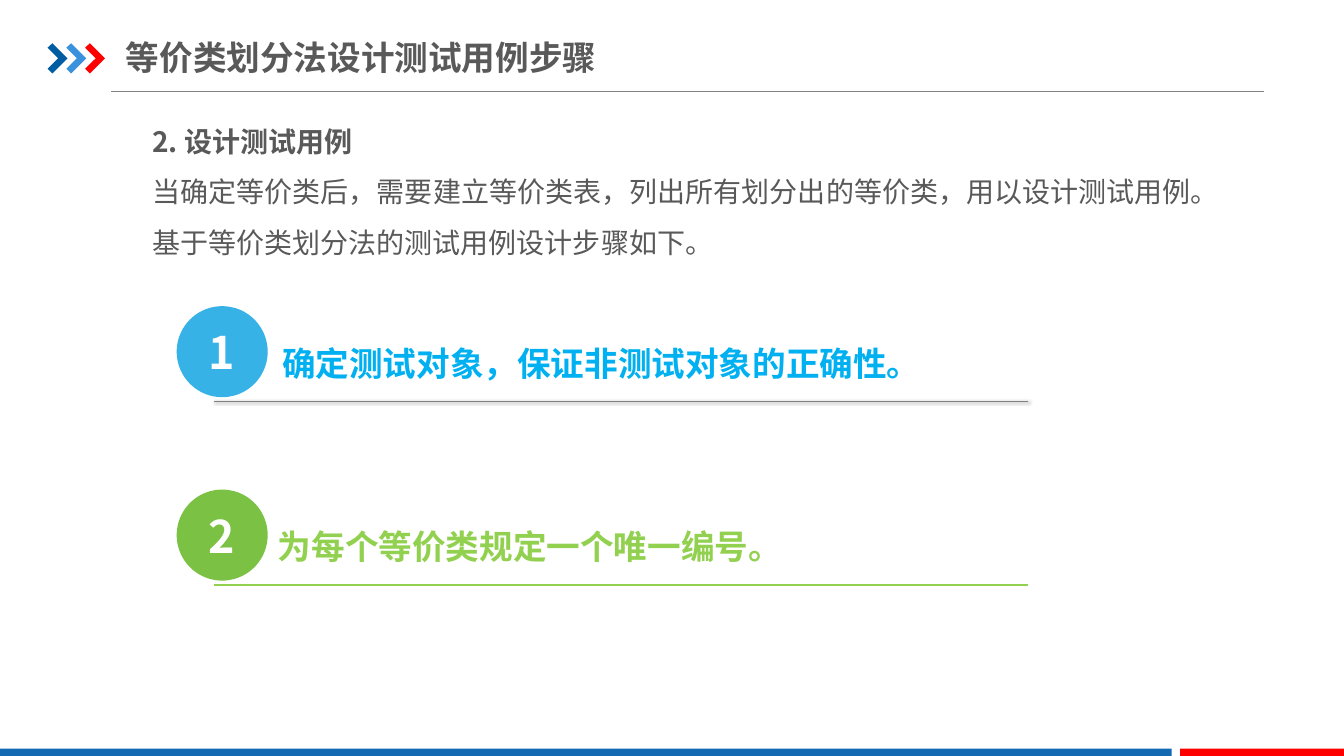
from dataclasses import dataclass

from lxml import etree
from pptx import Presentation
from pptx.dml.color import RGBColor
from pptx.enum.shapes import MSO_CONNECTOR, MSO_SHAPE
from pptx.enum.text import MSO_ANCHOR, PP_ALIGN
from pptx.oxml.ns import qn
from pptx.shapes.autoshape import Shape
from pptx.shapes.connector import Connector
from pptx.shapes.shapetree import GroupShapes, SlideShapes
from pptx.text.text import _Paragraph
from pptx.util import Pt

RECTANGLE = MSO_SHAPE.RECTANGLE
CIRCLE = MSO_SHAPE.FLOWCHART_CONNECTOR
STRAIGHT = MSO_CONNECTOR.STRAIGHT
MIDDLE = MSO_ANCHOR.MIDDLE
TOP = MSO_ANCHOR.TOP
LEFT = PP_ALIGN.LEFT
CENTER = PP_ALIGN.CENTER
JUSTIFY = PP_ALIGN.JUSTIFY


@dataclass(frozen=True)
class Theme:
    """Colours, fonts and type sizes of the slide."""

    font: str = "Noto Sans CJK SC"
    serif: str = "Times New Roman"
    ink: str = "595959"
    rule: str = "808080"
    white: str = "FFFFFF"
    red: str = "FF0000"
    navy: str = "005DA2"
    sky: str = "3992DB"
    footer_blue: str = "1369B2"
    body_size: int = 20
    heading_size: int = 24
    number_size: int = 32


@dataclass(frozen=True)
class Box:
    """A frame in points."""

    left: float
    top: float
    width: float
    height: float


@dataclass(frozen=True)
class Step:
    """One numbered step with its underline."""

    number: str
    wording: str
    font: str
    badge_color: str
    text_color: str
    line_color: str
    line_width: float
    text_left: float
    text_width: float


THEME = Theme()
CHEVRON_OUTLINE = ((0, 3.2), (3.5, 0), (14.3, 10.8), (3.5, 21.6), (0, 18.3), (7.6, 10.8))
CHEVRON_COLORS = (THEME.navy, THEME.sky, THEME.red)
CHEVRON_STEP = 13.4
FOOTER_BARS = (
    (Box(0, 534.8, 837, 6.2), THEME.footer_blue),
    (Box(842.9, 534.8, 117.1, 6.2), THEME.red),
)
BODY = (
    ("2. 设计测试用例", True),
    ("当确定等价类后，需要建立等价类表，列出所有划分出的等价类，用以设计测试用例。"
     "基于等价类划分法的测试用例设计步骤如下。", False),
)
STEPS = (
    Step("1", "确定测试对象，保证非测试对象的正确性。", THEME.serif,
         "36B2E6", "00B0F0", "19C3FF", 1, 194.4, 562.3),
    Step("2", "为每个等价类规定一个唯一编号。", THEME.font,
         "7BC143", "92D050", "92D050", 1.5, 191.5, 542.2),
)
STEPS_TOP = 218.7
STEP_PITCH = 131


def style_paragraph(paragraph: _Paragraph, font: str, size: int, color: str, bold: bool) -> None:
    """Format every run of a paragraph, including its East Asian typeface."""
    for run in paragraph.runs:
        run.font.name = font
        run.font.size = Pt(size)
        run.font.bold = bold
        run.font.color.rgb = RGBColor.from_string(color)
        east_asian = etree.SubElement(run.font._element, qn("a:ea"))
        east_asian.set("typeface", THEME.font)


def add_text(shapes: SlideShapes, box: Box, inset_x: float, inset_y: float,
             anchor: MSO_ANCHOR = TOP) -> Shape:
    """Add an empty wrapping text box."""
    holder = shapes.add_textbox(Pt(box.left), Pt(box.top), Pt(box.width), Pt(box.height))
    frame = holder.text_frame
    frame.word_wrap = True
    frame.vertical_anchor = anchor
    frame.margin_left = frame.margin_right = Pt(inset_x)
    frame.margin_top = frame.margin_bottom = Pt(inset_y)
    return holder


def paint(shape: Shape, color: str) -> None:
    """Give a shape a flat fill without outline or shadow."""
    shape.shadow.inherit = False
    shape.fill.solid()
    shape.fill.fore_color.rgb = RGBColor.from_string(color)
    shape.line.fill.background()


def add_filled(shapes: SlideShapes, kind: MSO_SHAPE, box: Box, color: str) -> Shape:
    """Add a flat preset shape."""
    shape = shapes.add_shape(kind, Pt(box.left), Pt(box.top), Pt(box.width), Pt(box.height))
    paint(shape, color)
    return shape


def add_rule(shapes: SlideShapes, left: float, right: float, y: float,
             color: str, width: float) -> Connector:
    """Add a horizontal line without shadow."""
    rule = shapes.add_connector(STRAIGHT, Pt(left), Pt(y), Pt(right), Pt(y))
    rule.line.color.rgb = RGBColor.from_string(color)
    rule.line.width = Pt(width)
    etree.SubElement(rule._element.spPr, qn("a:effectLst"))
    return rule


def shade_rule(rule: Connector, edge_color: str, center_color: str) -> None:
    """Give a line a gradient that is symmetric about its centre, and a soft shadow."""
    outline = rule.line._get_or_add_ln()
    outline.remove(outline.find(qn("a:solidFill")))
    gradient = etree.SubElement(outline, qn("a:gradFill"))
    stops = etree.SubElement(gradient, qn("a:gsLst"))
    for position, color in ((0, edge_color), (50000, center_color), (100000, edge_color)):
        stop = etree.SubElement(stops, qn("a:gs"), pos=str(position))
        etree.SubElement(stop, qn("a:srgbClr"), val=color)
    etree.SubElement(gradient, qn("a:lin"), ang="0", scaled="0")
    effects = rule._element.spPr.find(qn("a:effectLst"))
    shadow = etree.SubElement(effects, qn("a:outerShdw"), blurRad=str(Pt(2)),
                              dist=str(Pt(1)), dir="2700000", algn="tl", rotWithShape="0")
    shadow_color = etree.SubElement(shadow, qn("a:srgbClr"), val="000000")
    etree.SubElement(shadow_color, qn("a:alpha"), val="40000")


def add_chevron(shapes: GroupShapes, left: float, top: float, color: str) -> None:
    """Draw one chevron of the title mark."""
    corners = [(Pt(left + x), Pt(top + y)) for x, y in CHEVRON_OUTLINE]
    builder = shapes.build_freeform(*corners[0])
    builder.add_line_segments(corners[1:], close=True)
    paint(builder.convert_to_shape(), color)


def add_step(shapes: SlideShapes, step: Step, top: float) -> None:
    """Draw a numbered badge, its underline and its wording."""
    badge = add_filled(shapes, CIRCLE, Box(126.2, top, 65, 65), step.badge_color)
    badge.text_frame.text = step.number
    badge.text_frame.vertical_anchor = MIDDLE
    number = badge.text_frame.paragraphs[0]
    number.alignment = CENTER
    style_paragraph(number, THEME.font, THEME.number_size, THEME.white, True)
    underline = add_rule(shapes, 153, 734.3, top + 68, step.line_color, step.line_width)
    if step.line_color != step.text_color:
        shade_rule(underline, step.line_color, THEME.rule)
    wording = add_text(shapes, Box(step.text_left, top + 22.6, step.text_width, 36.4), 7.2, 3.6)
    wording.text_frame.text = step.wording
    style_paragraph(wording.text_frame.paragraphs[0], step.font,
                    THEME.heading_size, step.text_color, True)


def main() -> None:
    """Build and save the slide."""
    deck = Presentation()
    deck.slide_width, deck.slide_height = Pt(960), Pt(540)
    shapes = deck.slides.add_slide(deck.slide_layouts[6]).shapes
    add_rule(shapes, 79.2, 903.2, 65.5, THEME.rule, 0.75)
    title_mark = shapes.add_group_shape()
    for index, color in enumerate(CHEVRON_COLORS):
        add_chevron(title_mark.shapes, 34 + index * CHEVRON_STEP, 30.9, color)
    for bar, color in FOOTER_BARS:
        add_filled(shapes, RECTANGLE, bar, color)
    body = add_text(shapes, Box(99.4, 72, 761, 118.8), 9.4, 5).text_frame
    body.text = "\n".join(wording for wording, _ in BODY)
    for paragraph, (_, bold) in zip(body.paragraphs, BODY):
        paragraph.alignment = JUSTIFY
        paragraph.line_spacing = 1.5
        style_paragraph(paragraph, THEME.font, THEME.body_size, THEME.ink, bold)
    title = add_text(shapes, Box(90, 20.9, 367.2, 39.6), 0, 5, MIDDLE).text_frame
    title.text = "等价类划分法设计测试用例步骤"
    title.paragraphs[0].alignment = LEFT
    style_paragraph(title.paragraphs[0], THEME.font, THEME.heading_size, THEME.ink, True)
    for index, step in enumerate(STEPS):
        add_step(shapes, step, STEPS_TOP + index * STEP_PITCH)
    deck.save("out.pptx")


if __name__ == "__main__":
    main()
